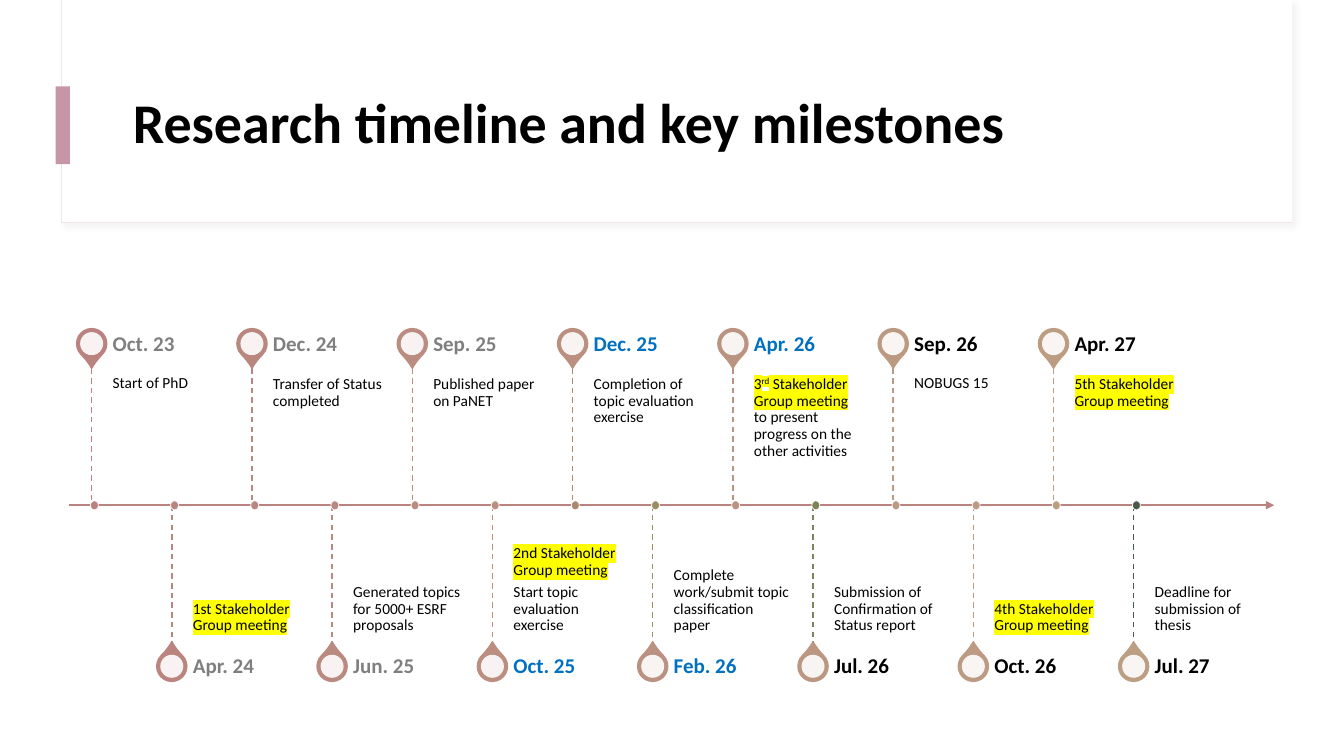
"""Builds a slide with a research timeline and its fourteen milestones."""
from lxml import etree
from pptx import Presentation, util as u
from pptx.dml.color import RGBColor
from pptx.enum import dml, shapes, text
from pptx.oxml.ns import qn

WHITE = RGBColor(0xFF, 0xFF, 0xFF)
BLACK = RGBColor(0x00, 0x00, 0x00)
GREY = RGBColor(0x7F, 0x7F, 0x7F)
BLUE = RGBColor(0x00, 0x70, 0xC0)
ACCENT = RGBColor(0xC6, 0x96, 0xA7)
CARD_EDGE = RGBColor(0xF0, 0xE5, 0xE9)
AXIS = RGBColor(0xBA, 0x83, 0x7F)
PIN_COLOURS = [RGBColor.from_string(code) for code in (
    "BA837F BA857F BA877F BA8A80 BB8C80 BB8E80 BB9080 "
    "BB9281 BB9481 BB9681 BC9981 BC9B82 BC9D82 BC9F82").split()]
STEM_COLOURS = [RGBColor.from_string(code) for code in (
    "BA837F BA857F BA867F BA8980 BB8C80 BB9080 AB8970 "
    "9B8E62 BB9481 7E845A BC9981 BC9B82 BC9D82 4A5A48").split()]
PLAIN, MARKED, RAISED = "plain", "marked", "raised"
FONT = "Calibri"

MILESTONES = [
    ("Oct. 23", GREY, [[("Start of PhD", PLAIN)]]),
    ("Apr. 24", GREY, [[("1st Stakeholder Group meeting", MARKED)]]),
    ("Dec. 24", GREY, [[("Transfer of Status completed", PLAIN)]]),
    ("Jun. 25", GREY, [[("Generated topics for 5000+ ESRF proposals", PLAIN)]]),
    ("Sep. 25", GREY, [[("Published paper on PaNET", PLAIN)]]),
    ("Oct. 25", BLUE, [[("2nd Stakeholder Group meeting", MARKED)],
                       [("Start topic evaluation exercise", PLAIN)]]),
    ("Dec. 25", BLUE, [[("Completion of topic evaluation exercise", PLAIN)]]),
    ("Feb. 26", BLUE, [[("Complete work/submit topic classification paper", PLAIN)]]),
    ("Apr. 26", BLUE, [[("3", MARKED), ("rd", RAISED),
                        (" Stakeholder Group meeting ", MARKED),
                        ("to present progress on the other activities", PLAIN)]]),
    ("Jul. 26", BLACK, [[("Submission of Confirmation of Status report", PLAIN)]]),
    ("Sep. 26", BLACK, [[("NOBUGS 15", PLAIN)]]),
    ("Oct. 26", BLACK, [[("4th Stakeholder Group meeting", MARKED)]]),
    ("Apr. 27", BLACK, [[("5th Stakeholder Group meeting", MARKED)]]),
    ("Jul. 27", BLACK, [[("Deadline for submission of thesis", PLAIN)]]),
]
FIRST_X, STEP = 2.31, 2.02
AXIS_Y, STEM = 12.73, 3.45

deck = Presentation()
deck.slide_width, deck.slide_height = u.Cm(33.87), u.Cm(19.05)
slide = deck.slides.add_slide(deck.slide_layouts[6])


def draw(kind, left, top, width, height, fill, edge=None, weight=1):
    """Add a filled shape, with an outline if an edge colour is given."""
    shape = slide.shapes.add_shape(
        kind, u.Cm(left), u.Cm(top), u.Cm(width), u.Cm(height))
    shape.shadow.inherit = False
    shape.fill.solid()
    shape.fill.fore_color.rgb = fill
    if edge is None:
        shape.line.fill.background()
    else:
        shape.line.color.rgb = edge
        shape.line.width = u.Pt(weight)
    return shape


def write(box, anchor, margins, paragraphs, size, colour, bold):
    """Add a text box from a box, its margins and a list of run lists."""
    frame = slide.shapes.add_textbox(*map(u.Cm, box)).text_frame
    frame.word_wrap = True
    frame.vertical_anchor = anchor
    (frame.margin_left, frame.margin_top,
     frame.margin_right, frame.margin_bottom) = map(u.Cm, margins)
    for index, runs in enumerate(paragraphs):
        paragraph = frame.add_paragraph() if index else frame.paragraphs[0]
        paragraph.line_spacing = 0.9
        if index < len(paragraphs) - 1:
            paragraph.space_after = u.Pt(4)
        for words, style in runs:
            run = paragraph.add_run()
            run.text = words
            properties = run.font._element
            if style != PLAIN:
                highlight = etree.SubElement(properties, qn("a:highlight"))
                etree.SubElement(highlight, qn("a:srgbClr"), val="FFFF00")
            if style == RAISED:
                properties.set("baseline", "30000")
            run.font.size = u.Pt(size)
            run.font.bold = bold
            run.font.name = FONT
            run.font.color.rgb = colour


RECTANGLE = shapes.MSO_SHAPE.RECTANGLE
card = draw(RECTANGLE, 1.55, 0, 31.01, 5.61, WHITE, CARD_EDGE, 0.75)
shadow = etree.SubElement(
    card._element.spPr.find(qn("a:effectLst")), qn("a:outerShdw"),
    blurRad=str(u.Pt(4)), dist=str(u.Pt(3)), dir="2700000", rotWithShape="0")
shade = etree.SubElement(shadow, qn("a:srgbClr"), val="D9D9D9")
etree.SubElement(shade, qn("a:alpha"), val="30000")
draw(RECTANGLE, 1.57, 0, 30.99, 5.59, WHITE)
draw(RECTANGLE, 1.4, 2.18, 0.36, 1.96, ACCENT)
write((3.1, 1.52, 28.24, 3.28), text.MSO_ANCHOR.MIDDLE, (0.25, 0.13, 0.25, 0.13),
      [[("Research timeline and key milestones", PLAIN)]], 40, BLACK, True)

lines = [(1.75, AXIS_Y, 32.11, AXIS_Y, AXIS, 1.5)]
for index, colour in enumerate(STEM_COLOURS):
    x = FIRST_X + index * STEP
    top = AXIS_Y if index % 2 else AXIS_Y - STEM
    lines.append((x, top, x, top + STEM, colour, 1))
for *ends, colour, weight in lines:
    line = slide.shapes.add_connector(shapes.MSO_CONNECTOR.STRAIGHT, *map(u.Cm, ends))
    line.line.color.rgb = colour
    line.line.width = u.Pt(weight)
    if colour is AXIS:
        etree.SubElement(line.line._get_or_add_ln(), qn("a:tailEnd"), type="triangle")
    else:
        line.line.dash_style = dml.MSO_LINE.DASH
    etree.SubElement(line._element.spPr, qn("a:effectLst"))

for index, (date, date_colour, note) in enumerate(MILESTONES):
    x = FIRST_X + index * STEP
    below = index % 2
    pin_top = 16.41 if below else 8.28
    pin = draw(shapes.MSO_SHAPE.TEAR, x - 0.38, pin_top, 0.76, 0.76,
               PIN_COLOURS[index], PIN_COLOURS[index])
    pin.adjustments[0] = 1.15
    pin.rotation = 315 if below else 135
    hole = draw(shapes.MSO_SHAPE.OVAL, x - 0.29, pin_top + 0.09, 0.58, 0.58, WHITE)
    tint = hole._element.spPr.find(qn("a:solidFill"))[0]
    etree.SubElement(tint, qn("a:alpha"), val="90000")
    write((x + 0.53, AXIS_Y if below else AXIS_Y - STEM, 2.97, STEM),
          text.MSO_ANCHOR.BOTTOM if below else text.MSO_ANCHOR.TOP,
          (0, 0.28, 0, 0.2) if below else (0, 0.2, 0.2, 0.28),
          note, 11, BLACK, False)
    write((x + 0.53, 16.18 if below else 8.08, 2.97, 1.22),
          text.MSO_ANCHOR.MIDDLE, (0, 0, 0.25, 0),
          [[(date, PLAIN)]], 15, date_colour, True)
    draw(shapes.MSO_SHAPE.OVAL, x - 0.03, AXIS_Y - 0.11, 0.2, 0.23,
         STEM_COLOURS[index], WHITE, 0.5)

deck.save("out.pptx")
